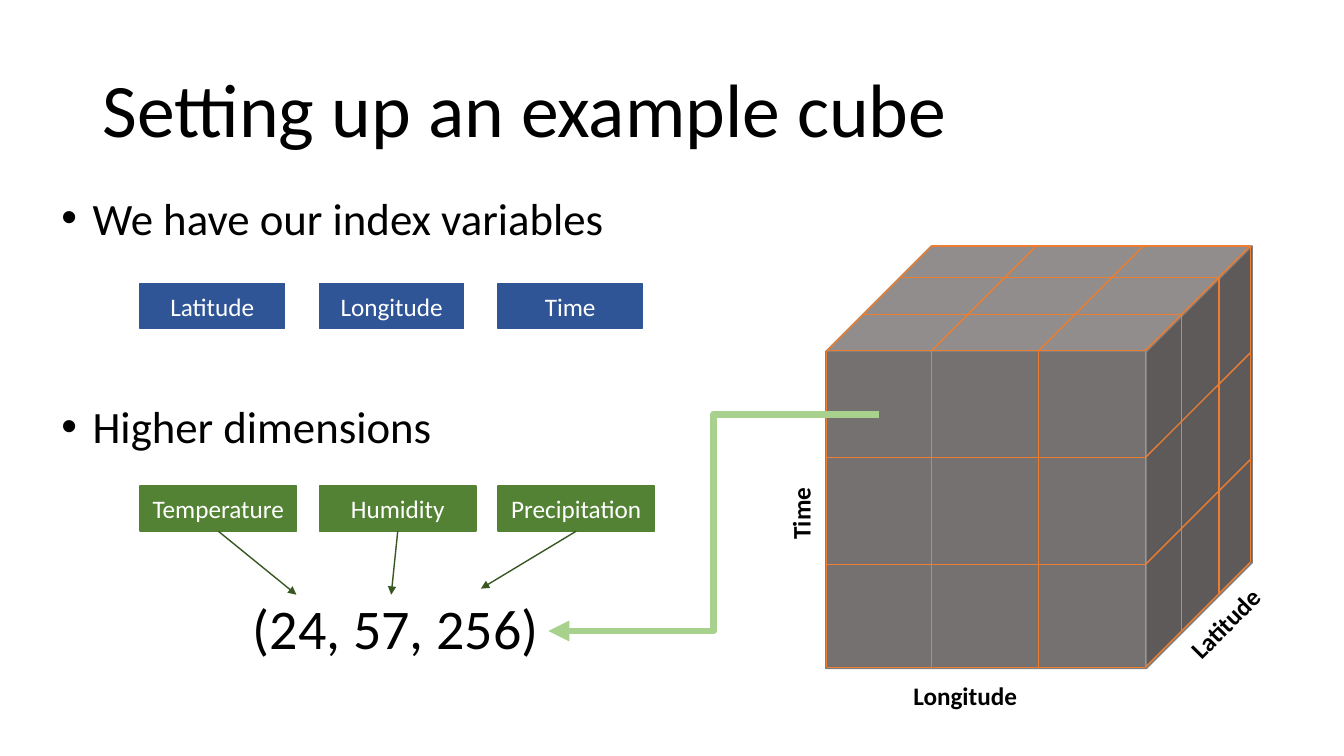
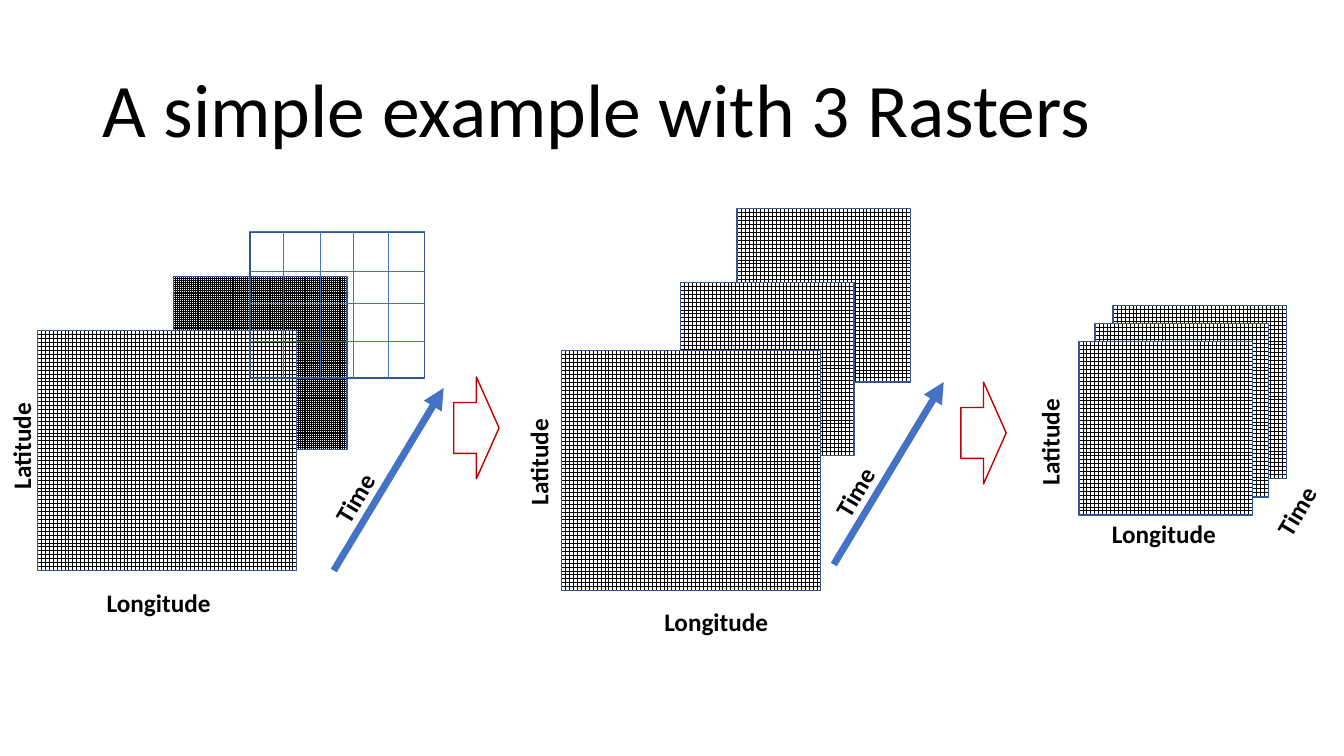
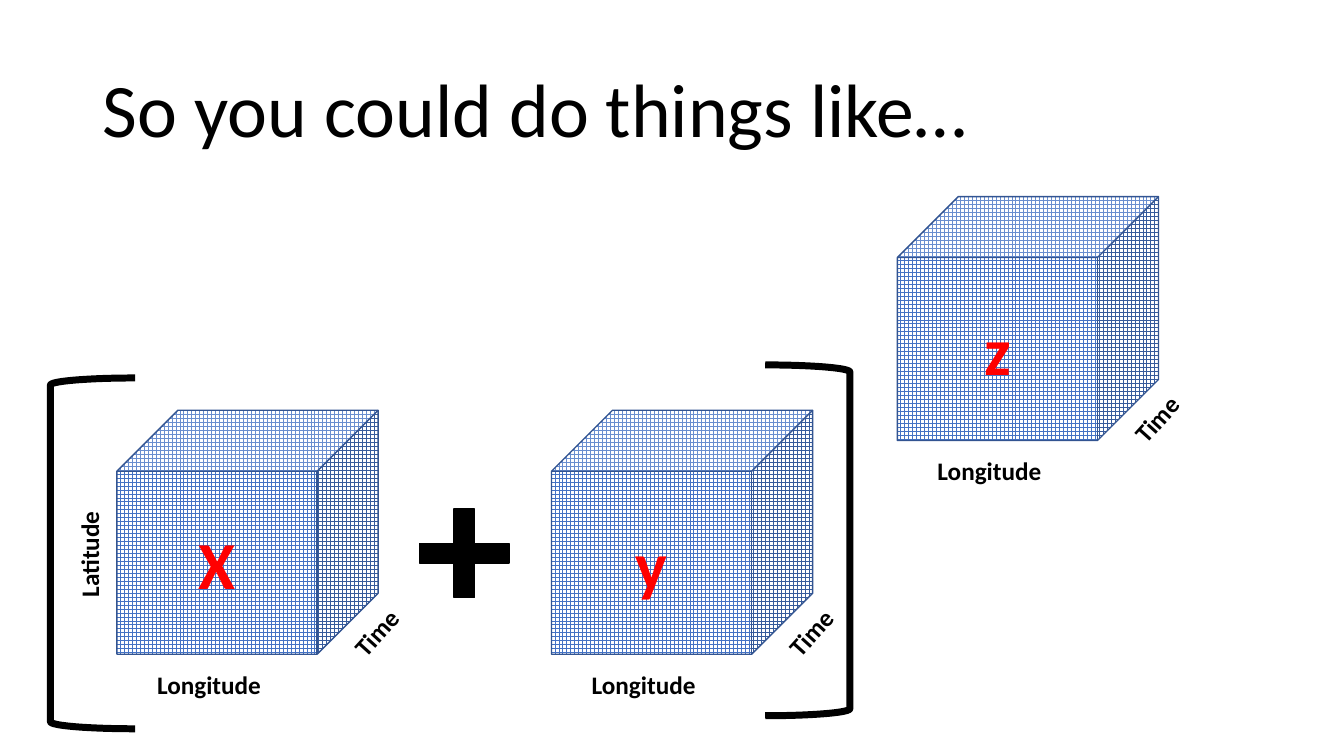
from lxml import etree
from pptx import Presentation
from pptx.dml.color import RGBColor
from pptx.enum.dml import MSO_PATTERN as PATTERN
from pptx.enum.shapes import MSO_CONNECTOR as CONNECTOR, MSO_SHAPE as SHAPE
from pptx.enum.text import MSO_ANCHOR as ANCHOR, MSO_AUTO_SIZE as AUTO_SIZE, PP_ALIGN as ALIGN
from pptx.oxml.ns import qn
from pptx.util import Pt

PX = 9144  # 100 px to the inch
FONT = "Calibri"

BLACK = RGBColor(0x00, 0x00, 0x00)
WHITE = RGBColor(0xFF, 0xFF, 0xFF)
GREY = RGBColor(0x76, 0x71, 0x71)
GREY_EDGE = RGBColor(0x80, 0x80, 0x80)
NAVY = RGBColor(0x2F, 0x55, 0x97)
RASTER_EDGE = RGBColor(0x32, 0x54, 0x91)
BLUE = RGBColor(0x44, 0x72, 0xC4)
ORANGE = RGBColor(0xED, 0x7D, 0x31)
GREEN = RGBColor(0x54, 0x82, 0x35)
DARK_GREEN = RGBColor(0x38, 0x57, 0x23)
LIGHT_GREEN = RGBColor(0xA9, 0xD1, 0x8E)
RED = RGBColor(0xFF, 0x00, 0x00)
DARK_RED = RGBColor(0xC0, 0x00, 0x00)


def px(*lengths):
    return [round(length * PX) for length in lengths]


def assign(target, **values):
    for name, value in values.items():
        setattr(target, name, value)


def write(shape, text, size, color=BLACK, bold=False, bullet=False, **paragraph_format):
    paragraph = shape.text_frame.paragraphs[0]
    if bullet:
        properties = paragraph._p.get_or_add_pPr()
        properties.set("marL", str(31 * PX))
        properties.set("indent", str(-31 * PX))
        etree.SubElement(properties, qn("a:buFont"), typeface="Arial")
        etree.SubElement(properties, qn("a:buChar"), char="•")
    assign(paragraph, **paragraph_format)
    run = paragraph.add_run()
    run.text = text
    assign(run.font, name=FONT, size=Pt(size), bold=bold)
    run.font.color.rgb = color


def add_text(slide, text, x, y, width, height, size, rotation=0, anchor=ANCHOR.TOP, **style):
    box = slide.shapes.add_textbox(*px(x, y, width, height))
    box.rotation = rotation
    assign(box.text_frame, word_wrap=True, vertical_anchor=anchor)
    if anchor == ANCHOR.TOP:
        box.text_frame.auto_size = AUTO_SIZE.SHAPE_TO_FIT_TEXT
    write(box, text, size, **style)


def add_axis_label(slide, text, x, y, width=140, rotation=0):
    add_text(slide, text, x, y, width, 40, 18, rotation, bold=True)


def add_shape(shapes, kind, x, y, width, height, fill, edge, edge_width=1, rotation=0):
    shape = shapes.add_shape(kind, *px(x, y, width, height))
    shape.shadow.inherit = False
    shape.rotation = rotation
    if fill is None:
        shape.fill.background()
    else:
        shape.fill.solid()
        shape.fill.fore_color.rgb = fill
    shape.line.color.rgb = edge
    shape.line.width = Pt(edge_width)
    return shape


def add_gridded(slide, kind, x, y, width, height, ink=BLACK, pattern=PATTERN.LARGE_GRID):
    """Shape filled with a fine grid that stands for raster cells."""
    shape = add_shape(slide.shapes, kind, x, y, width, height, None, RASTER_EDGE)
    shape.fill.patterned()
    shape.fill.pattern = pattern
    shape.fill.fore_color.rgb = ink
    shape.fill.back_color.rgb = WHITE
    return shape


def add_line(shapes, start, end, color, width=1, arrow=False, kind=CONNECTOR.STRAIGHT):
    line = shapes.add_connector(kind, *px(*start, *end))
    line.line.color.rgb = color
    line.line.width = Pt(width)
    if arrow:
        etree.SubElement(line.line._ln, qn("a:tailEnd"), type="triangle")
    etree.SubElement(line._element.spPr, qn("a:effectLst"))
    return line


def add_variable(slide, name, x, y, width, color):
    box = add_shape(slide.shapes, SHAPE.RECTANGLE, x, y, width, 45, color, color)
    box.text_frame.vertical_anchor = ANCHOR.MIDDLE
    write(box, name, 18, WHITE, alignment=ALIGN.CENTER)
    return box


def add_titled_slide(deck, title):
    slide = deck.slides.add_slide(deck.slide_layouts[6])
    add_text(slide, title, 92, 40, 1150, 145, 54, anchor=ANCHOR.MIDDLE, line_spacing=0.9)
    return slide


def add_cube_grid(slide):
    """Cell edges on the front, top and right faces of the cube."""
    columns, rows, depths = (820, 924, 1030, 1136), (348, 454, 560, 662), (0, 36, 73, 104)
    left, right, top, bottom, depth = columns[0], columns[-1], rows[0], rows[-1], depths[-1]
    edges = [((left, y), (right, y)) for y in rows]
    edges += [((x, bottom), (x, top)) for x in columns]
    edges += [((x, top), (x + depth, top - depth)) for x in columns]
    edges += [((right, y), (right + depth, y - depth)) for y in rows[1:]]
    for d in depths[1:]:
        edges.append(((left + d, top - d), (right + d, top - d)))
        edges.append(((right + d, bottom - d), (right + d, top - d)))
    for start, end in edges:
        add_line(slide.shapes, start, end, ORANGE)


def build_cube_setup(deck):
    slide = add_titled_slide(deck, "Setting up an example cube")
    add_shape(slide.shapes, SHAPE.CUBE, 819, 244, 423, 419, GREY, GREY_EDGE)
    add_axis_label(slide, "Longitude", 896, 670, 134)
    add_axis_label(slide, "Latitude", 1158, 588, 134, 314.7)
    add_axis_label(slide, "Time", 727, 458, 134, 270)
    add_cube_grid(slide)

    for heading, y in (("We have our index variables", 184), ("Higher dimensions", 391)):
        add_text(slide, heading, 51, y, 795, 64, 32, bullet=True)
    variable_xs = (139, 317, 494)
    for name, x in zip(("Latitude", "Longitude", "Time"), variable_xs):
        add_variable(slide, name, x, 281, 143, NAVY)

    add_line(slide.shapes, (872, 411), (544, 626), LIGHT_GREEN, 5, True, CONNECTOR.ELBOW)
    add_text(slide, "(24, 57, 256)", 241, 584, 471, 77, 40)
    measures = ("Temperature", "Humidity", "Precipitation")
    value_points = ((294, 590), (388, 590), (477, 584))
    for name, x, value_point in zip(measures, variable_xs, value_points):
        measure = add_variable(slide, name, x, 482, 155, GREEN)
        pointer = add_line(slide.shapes, (x + 77, 527), value_point, DARK_GREEN, arrow=True)
        pointer.begin_connect(measure, 2)


def add_coarse_raster(slide):
    left, top, width, height = 248, 230, 173, 145
    shapes = slide.shapes.add_group_shape().shapes
    add_shape(shapes, SHAPE.RECTANGLE, left, top, width, height, None, RASTER_EDGE)
    for x in (281, 318, 350, 385):
        add_line(shapes, (x, top), (x, top + height), BLUE, 0.5)
    for y in (230, 269, 301, 339):
        add_line(shapes, (left, y), (left + width, y), BLUE, 0.5)


def add_time_arrow(slide, x, y):
    add_line(slide.shapes, (x, y), (x + 109, y - 181), BLUE, 5, True)
    add_axis_label(slide, "Time", x - 45, y - 145, 194, 300.8)


def build_rasters(deck):
    slide = add_titled_slide(deck, "A simple example with 3 Rasters")
    small, large = (172, 172), (257, 238)

    add_gridded(slide, SHAPE.RECTANGLE, 172, 274, *small, pattern=PATTERN.SMALL_GRID)
    add_gridded(slide, SHAPE.RECTANGLE, 37, 328, *large)
    add_coarse_raster(slide)
    for x, y, size in (
        (731, 207, small), (675, 280, small), (557, 348, large),
        (1104, 303, small), (1086, 321, small), (1070, 339, small),
    ):
        add_gridded(slide, SHAPE.RECTANGLE, x, y, *size)

    for x, y, width in ((-76, 378, 194), (437, 394, 194), (982, 412, 118)):
        add_axis_label(slide, "Latitude", x, y, width, 270)
    for x, y in ((96, 578), (649, 597), (1093, 509)):
        add_axis_label(slide, "Longitude", x, y)
    for x, y in ((331, 566), (827, 560)):
        add_time_arrow(slide, x, y)
    add_axis_label(slide, "Time", 1234, 459, 136, 300.8)
    for x, y in ((450, 374), (953, 379)):
        add_shape(slide.shapes, SHAPE.RIGHT_ARROW, x, y, 45, 101, WHITE, DARK_RED)


def add_data_cube(slide, name, x, y):
    cube = add_gridded(slide, SHAPE.CUBE, x, y, 259, 242, BLUE)
    cube.text_frame.vertical_anchor = ANCHOR.MIDDLE
    write(cube, name, 48, RED, True, alignment=ALIGN.CENTER)
    add_axis_label(slide, "Longitude", x + 30, y + 252)
    add_axis_label(slide, "Time", x + 210, y + 175, rotation=312)


def build_cube_algebra(deck):
    slide = add_titled_slide(deck, "So you could do things like…")
    add_axis_label(slide, "Latitude", -40, 454, 257, 270)
    for name, x, y in (("X", 116, 407), ("y", 547, 407), ("z", 890, 195)):
        add_data_cube(slide, name, x, y)
    for x, y, rotation in ((50, 375, 0), (759, 362, 180)):
        add_shape(slide.shapes, SHAPE.LEFT_BRACKET, x, y, 84, 348, None, BLACK, 5, rotation)
    plus = add_shape(slide.shapes, SHAPE.CROSS, 416, 505, 89, 88, BLACK, BLACK)
    plus.adjustments[0] = 0.39


def main():
    deck = Presentation()
    deck.slide_width, deck.slide_height = px(1333, 750)
    build_cube_setup(deck)
    build_rasters(deck)
    build_cube_algebra(deck)
    deck.save("out.pptx")


if __name__ == "__main__":
    main()
